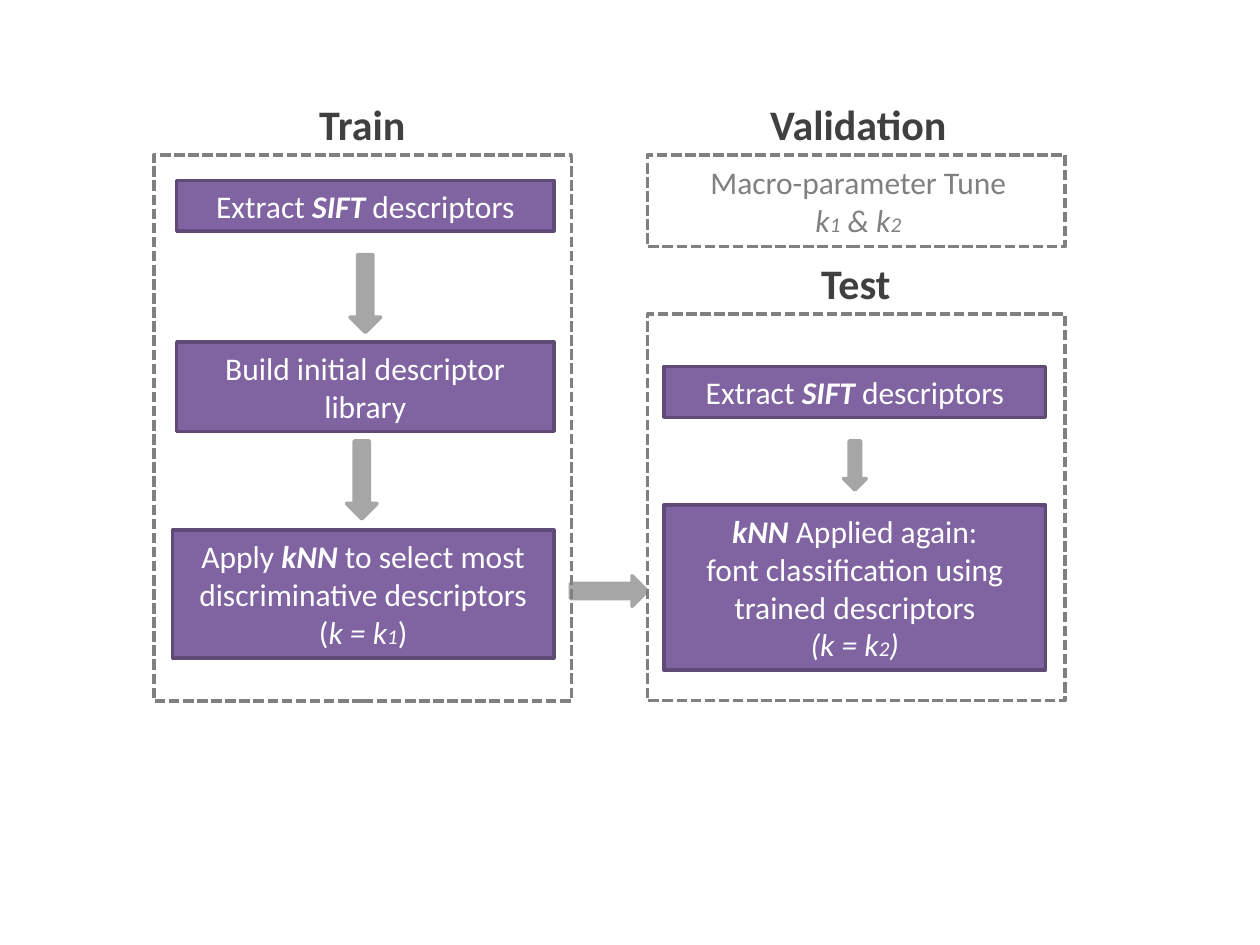
from pptx import Presentation
from pptx.dml.color import RGBColor
from pptx.enum.dml import MSO_LINE
from pptx.enum.shapes import MSO_SHAPE
from pptx.enum.text import MSO_ANCHOR, PP_ALIGN
from pptx.util import Pt

PURPLE, PURPLE_EDGE = "8064A2", "5F4A78"
ARROW_GRAY, FRAME_GRAY, HEADING_GRAY = "A6A6A6", "808080", "404040"
WHITE = "FFFFFF"

TRAIN_X, TEST_X, FRAME_W = 88, 370, 238.5
FRAME_TOP, FRAME_BOTTOM = 88.5, 400.5

SIFT = [[("Extract ", ""), ("SIFT", "bi"), (" descriptors", "")]]
LIBRARY = [[("Build initial descriptor library", "")]]
SELECT = [
    [("Apply ", ""), ("kNN", "bi"), (" to select most discriminative descriptors", "")],
    [("(", ""), ("k = k", "i"), ("1", "is"), (")", "")],
]
CLASSIFY = [
    [("kNN", "bi"), (" Applied again:", "")],
    [("font classification using trained descriptors", "")],
    [("(k = k", "i"), ("2", "is"), (")", "i")],
]
TUNE = [
    [("Macro-parameter Tune", "")],
    [("k", "i"), ("1", "is"), (" & k", "i"), ("2", "is")],
]


def rgb(color):
    return RGBColor.from_string(color)


def write(sp, lines, color, size=18, anchor=MSO_ANCHOR.MIDDLE):
    tf = sp.text_frame
    tf.word_wrap = True
    tf.vertical_anchor = anchor
    for i, runs in enumerate(lines):
        p = tf.paragraphs[0] if i == 0 else tf.add_paragraph()
        p.alignment = PP_ALIGN.CENTER
        p.font.name = "Calibri"
        p.font.size = Pt(size)
        p.font.color.rgb = rgb(color)
        for text, style in runs:
            r = p.add_run()
            r.text = text
            if "b" in style:
                r.font.bold = True
            if "i" in style:
                r.font.italic = True
            if "s" in style:
                r.font.size = Pt(12)


def add_shape(s, kind, x, y, w, h, fill, line):
    sp = s.shapes.add_shape(kind, Pt(x), Pt(y), Pt(w), Pt(h))
    sp.shadow.inherit = False
    if fill:
        sp.fill.solid()
        sp.fill.fore_color.rgb = rgb(fill)
    else:
        sp.fill.background()
    sp.line.color.rgb = rgb(line)
    sp.line.width = Pt(2)
    return sp


def add_step(s, x, y, w, h, lines):
    sp = add_shape(s, MSO_SHAPE.RECTANGLE, x, y, w, h, PURPLE, PURPLE_EDGE)
    write(sp, lines, WHITE)


def add_arrow(s, kind, x, y, w, h):
    add_shape(s, kind, x, y, w, h, ARROW_GRAY, ARROW_GRAY)


def add_text(s, x, y, w, h, lines, color, size=18):
    sp = s.shapes.add_textbox(Pt(x), Pt(y), Pt(w), Pt(h))
    write(sp, lines, color, size, MSO_ANCHOR.TOP)


def add_section(s, heading, x, top, bottom, shift=0):
    frame = add_shape(s, MSO_SHAPE.RECTANGLE, x, top, FRAME_W, bottom - top,
                      None, FRAME_GRAY)
    frame.line.dash_style = MSO_LINE.SQUARE_DOT
    add_text(s, x + 34 + shift, top - 36, 170, 36, [[(heading, "b")]],
             HEADING_GRAY, 24)


def main():
    prs = Presentation()
    prs.slide_width, prs.slide_height = Pt(720), Pt(540)
    s = prs.slides.add_slide(prs.slide_layouts[6])

    add_step(s, 101, 103, 215.5, 29, SIFT)
    add_step(s, 101, 195.5, 215.5, 51, LIBRARY)
    add_step(s, 98.5, 303, 218, 73, SELECT)
    add_step(s, 379.5, 209.5, 218, 29, SIFT)
    add_step(s, 379.5, 288.5, 218, 94.5, CLASSIFY)

    add_arrow(s, MSO_SHAPE.DOWN_ARROW, 200, 145.5, 17.5, 44.5)
    add_arrow(s, MSO_SHAPE.DOWN_ARROW, 198, 252, 17.5, 44.5)
    add_arrow(s, MSO_SHAPE.DOWN_ARROW, 482, 252, 13, 28)
    add_arrow(s, MSO_SHAPE.RIGHT_ARROW, 326, 329, 44, 17.5)

    add_section(s, "Train", TRAIN_X, FRAME_TOP, FRAME_BOTTOM)
    add_section(s, "Validation", TEST_X, FRAME_TOP, 141, 1.5)
    add_section(s, "Test", TEST_X, 179.5, FRAME_BOTTOM)
    add_text(s, 370, 89.5, 241, 51, TUNE, FRAME_GRAY)

    prs.save("out.pptx")


main()
